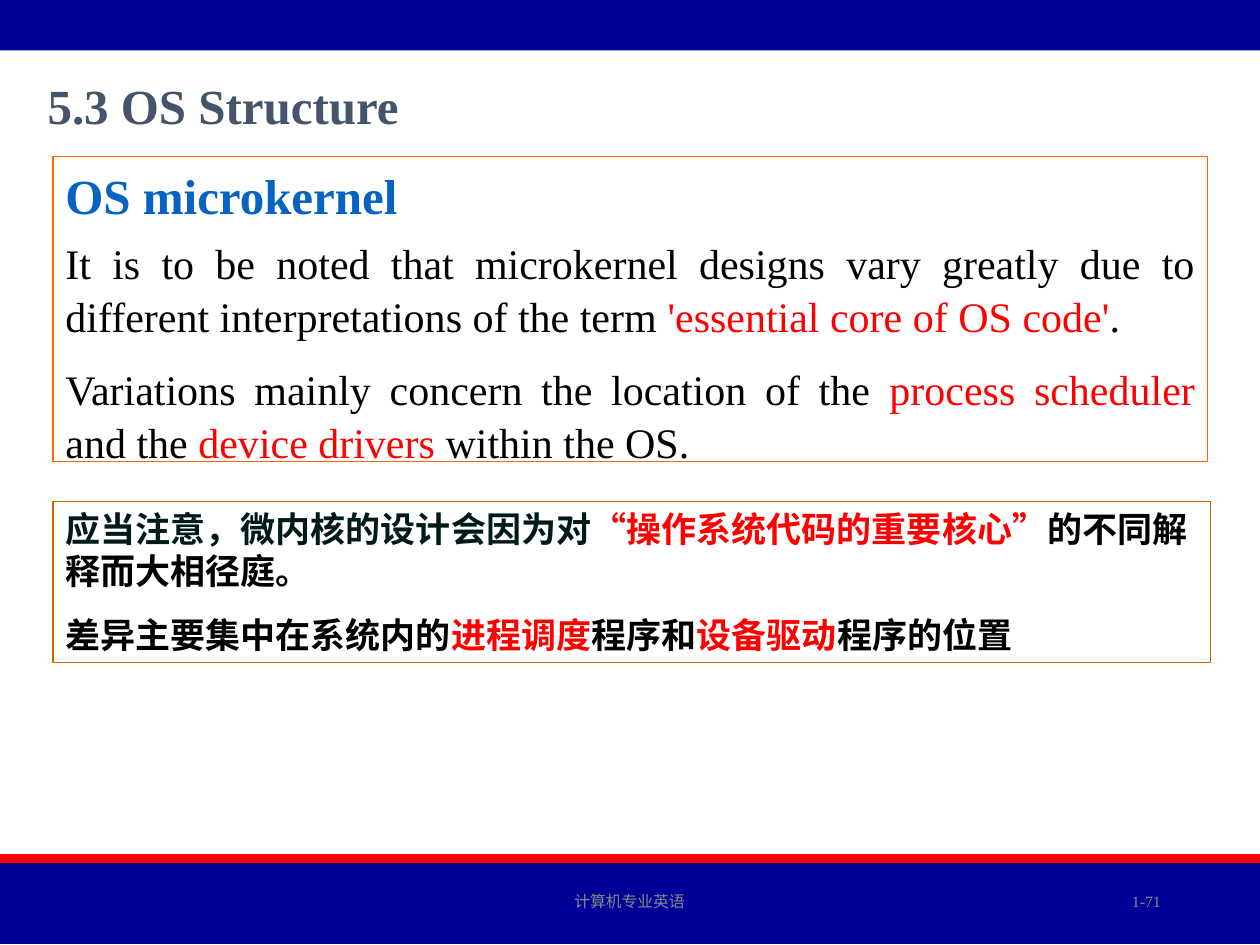
from pptx import Presentation
from pptx import util as u
from pptx.dml.color import RGBColor
from pptx.enum import shapes, text

FONT = "Times New Roman"
COLORS = {
    "navy": "000099", "red": "FF0000", "black": "000000", "gray": "898989",
    "orange": "FF6600", "brown": "CC6600", "blue": "0563C1",
    "slate": "44546A", "ink": "001A19",
}


def rgb(name):
    return RGBColor.from_string(COLORS[name])


def add_rect(s, left, top, width, height, fill=None, line=None):
    sp = s.shapes.add_shape(shapes.MSO_SHAPE.RECTANGLE, u.Cm(left), u.Cm(top),
                            u.Cm(width), u.Cm(height))
    sp.shadow.inherit = False
    if fill:
        sp.fill.solid()
        sp.fill.fore_color.rgb = rgb(fill)
    else:
        sp.fill.background()
    if line:
        sp.line.color.rgb = rgb(line)
        sp.line.width = u.Pt(0.75)
    else:
        sp.line.fill.background()
    return sp


def write(sp, runs, size, bold=False, align=text.PP_ALIGN.LEFT,
          before=0, after=0, spacing=None):
    """Add a paragraph of (text, color) runs, filling an empty first one."""
    tf = sp.text_frame
    p = tf.paragraphs[0]
    if p.runs:
        p = tf.add_paragraph()
    p.alignment = align
    p.space_before, p.space_after = u.Pt(before), u.Pt(after)
    p.line_spacing = spacing
    for words, color in runs:
        r = p.add_run()
        r.text = words
        r.font.name, r.font.size, r.font.bold = FONT, u.Pt(size), bold
        r.font.color.rgb = rgb(color)


def add_label(s, left, top, width, height, words, color, size,
              anchor=text.MSO_ANCHOR.TOP, **fmt):
    sp = s.shapes.add_textbox(u.Cm(left), u.Cm(top), u.Cm(width), u.Cm(height))
    sp.text_frame.word_wrap = True
    sp.text_frame.vertical_anchor = anchor
    write(sp, [(words, color)], size, **fmt)


def add_panel(s, left, top, width, height, line):
    sp = add_rect(s, left, top, width, height, line=line)
    sp.text_frame.word_wrap = True
    sp.text_frame.vertical_anchor = text.MSO_ANCHOR.TOP
    return sp


def add_bands(s):
    for top, height, fill in [(0, 1.02, "navy"), (17.22, 0.18, "red"),
                              (17.4, 1.63, "navy")]:
        add_rect(s, 0, top, 25.4, height, fill=fill)


def add_footer(s):
    for left, width, words, align in [
            (8.41, 8.56, "计算机专业英语", text.PP_ALIGN.CENTER),
            (17.93, 5.72, "1-71", text.PP_ALIGN.RIGHT)]:
        add_label(s, left, 17.65, width, 1.02, words, "gray", 9,
                  anchor=text.MSO_ANCHOR.MIDDLE, align=align)


def add_english(s):
    sp = add_panel(s, 1.07, 3.15, 23.27, 6.15, "orange")
    write(sp, [("OS microkernel", "blue")], 28, bold=True, spacing=1.05)
    for runs in [
        [("It is to be noted that microkernel designs vary greatly due to "
          "different interpretations of the term ", "black"),
         ("'essential core of OS code'", "red"), (". ", "black")],
        [("Variations mainly concern the location of the ", "black"),
         ("process scheduler ", "red"), ("and the ", "black"),
         ("device drivers", "red"), (" within the OS. ", "black")],
    ]:
        write(sp, runs, 24, align=text.PP_ALIGN.JUSTIFY,
              before=6, after=6, spacing=1.05)


def add_chinese(s):
    sp = add_panel(s, 1.07, 10.11, 23.34, 3.25, "brown")
    fmt = {"size": 20, "bold": True, "spacing": u.Pt(24)}
    write(sp, [("应当注意，微内核的设计会因为对", "ink"),
               ("“操作系统代码的重要核心”", "red"),
               ("的不同解释而大相径庭。", "black")], **fmt)
    write(sp, [("差异主要集中在系统内的", "black"), ("进程调度", "red"),
               ("程序和", "black"), ("设备驱动", "red"),
               ("程序的位置", "black")], before=12.5, **fmt)


def main():
    prs = Presentation()
    prs.slide_width, prs.slide_height = u.Cm(25.4), u.Cm(19.05)
    s = prs.slides.add_slide(prs.slide_layouts[6])
    add_bands(s)
    add_footer(s)
    add_english(s)
    add_chinese(s)
    add_label(s, 0.71, 1.4, 21.79, 1.45, "5.3 OS Structure", "slate", 28,
              bold=True)
    prs.save("out.pptx")


if __name__ == "__main__":
    main()
